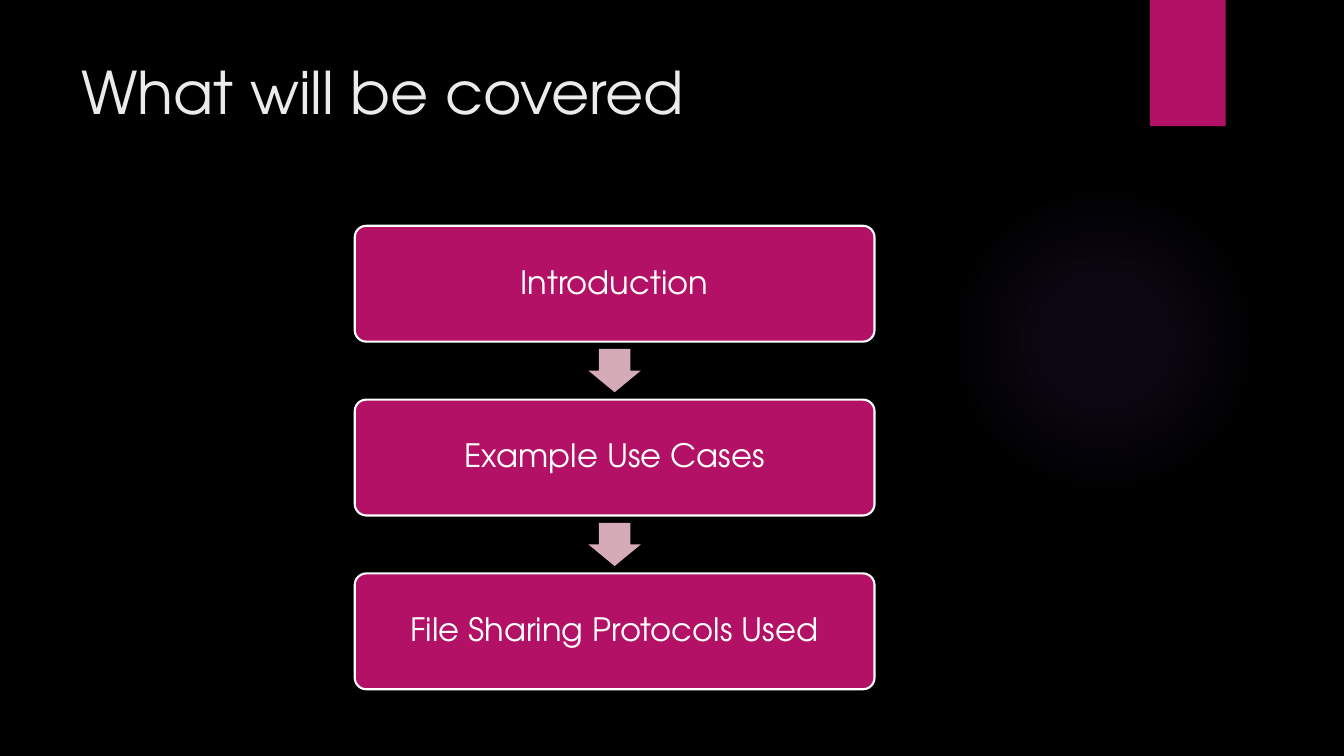
from lxml.etree import SubElement
from pptx import Presentation
from pptx.dml.color import RGBColor
from pptx.enum.shapes import MSO_SHAPE as SHAPE
from pptx.enum.text import MSO_ANCHOR as ANCHOR, PP_ALIGN as ALIGN
from pptx.oxml.ns import qn
from pptx.util import Cm, Pt

FONT = "TeX Gyre Adventor"
PINK, PALE_PINK, VIOLET = "B31166", "D6ABB8", "9B6BF2"
WHITE, OFF_WHITE, BLACK = "FFFFFF", "EBEBEB", "000000"

STEPS = ["Introduction", "Example Use Cases", "File Sharing Protocols Used"]
STEP_LEFT, STEP_TOP, STEP_W, STEP_H = 8.94, 5.69, 13.1, 2.92
PITCH = 4.38
ARROW_W, ARROW_H = 1.32, 1.09


def rgb(color):
    return RGBColor.from_string(color)


def place(sp, left, top, width, height):
    box = dict(left=left, top=top, width=width, height=height)
    for name, value in box.items():
        setattr(sp, name, Cm(value))


def write(sp, text, size, color, align, anchor):
    tf = sp.text_frame
    tf.word_wrap = True
    tf.vertical_anchor = anchor
    p = tf.paragraphs[0]
    p.alignment = align
    r = p.add_run()
    r.text = text
    for name, value in dict(name=FONT, size=Pt(size), bold=False).items():
        setattr(r.font, name, value)
    r.font.color.rgb = rgb(color)
    return p


def add_filled(s, kind, box, color, adjustments=()):
    sp = s.shapes.add_shape(kind, *map(Cm, box))
    sp.shadow.inherit = False
    sp.fill.solid()
    sp.fill.fore_color.rgb = rgb(color)
    sp.line.fill.background()
    for i, value in enumerate(adjustments):
        sp.adjustments[i] = value
    return sp


def add_glow(s, box, color, stops):
    """Add a circle whose colour fades outwards; stops are (position, opacity) in percent."""
    sp = add_filled(s, SHAPE.OVAL, box, color)
    solid = sp.fill._xPr.find(qn("a:solidFill"))
    grad = solid.makeelement(qn("a:gradFill"), {"rotWithShape": "1"})
    solid.getparent().replace(solid, grad)
    stop_list = SubElement(grad, qn("a:gsLst"))
    for position, opacity in stops:
        stop = SubElement(stop_list, qn("a:gs"), pos=str(position * 1000))
        clr = SubElement(stop, qn("a:srgbClr"), val=color)
        SubElement(clr, qn("a:alpha"), val=str(opacity * 1000))
    radial = SubElement(grad, qn("a:path"), {"path": "circle"})
    SubElement(radial, qn("a:fillToRect"), dict.fromkeys("ltrb", "50000"))


def add_step(s, top, text):
    box = (STEP_LEFT, top, STEP_W, STEP_H)
    sp = add_filled(s, SHAPE.ROUNDED_RECTANGLE, box, PINK, [0.1])
    sp.line.color.rgb = rgb(WHITE)
    sp.line.width = Pt(1.5)
    p = write(sp, text, 23, WHITE, ALIGN.CENTER, ANCHOR.MIDDLE)
    p.line_spacing = 0.9


def add_arrow_below(s, top):
    """Add a down arrow centred in the gap under the step at top."""
    left = STEP_LEFT + (STEP_W - ARROW_W) / 2
    arrow_top = top + (STEP_H + PITCH - ARROW_H) / 2
    box = (left, arrow_top, ARROW_W, ARROW_H)
    add_filled(s, SHAPE.DOWN_ARROW, box, PALE_PINK, [0.6, 0.5])


def main():
    prs = Presentation()
    prs.slide_width, prs.slide_height = Cm(33.87), Cm(19.05)
    s = prs.slides.add_slide(prs.slide_layouts[5])
    s.background.fill.solid()
    s.background.fill.fore_color.rgb = rgb(BLACK)

    add_glow(s, (23.9, 4.65, 7.82, 7.82), VIOLET, [(0, 7), (36, 6), (69, 0)])
    add_filled(s, SHAPE.RECTANGLE, (28.98, 0, 1.91, 3.18), PINK)

    title = s.shapes.title
    place(title, 1.8, 1.27, 26.14, 3.89)
    write(title, "What will be covered", 42, OFF_WHITE, ALIGN.LEFT, ANCHOR.TOP)

    for i, text in enumerate(STEPS):
        top = STEP_TOP + i * PITCH
        add_step(s, top, text)
        if i < len(STEPS) - 1:
            add_arrow_below(s, top)

    prs.save("out.pptx")


if __name__ == "__main__":
    main()
